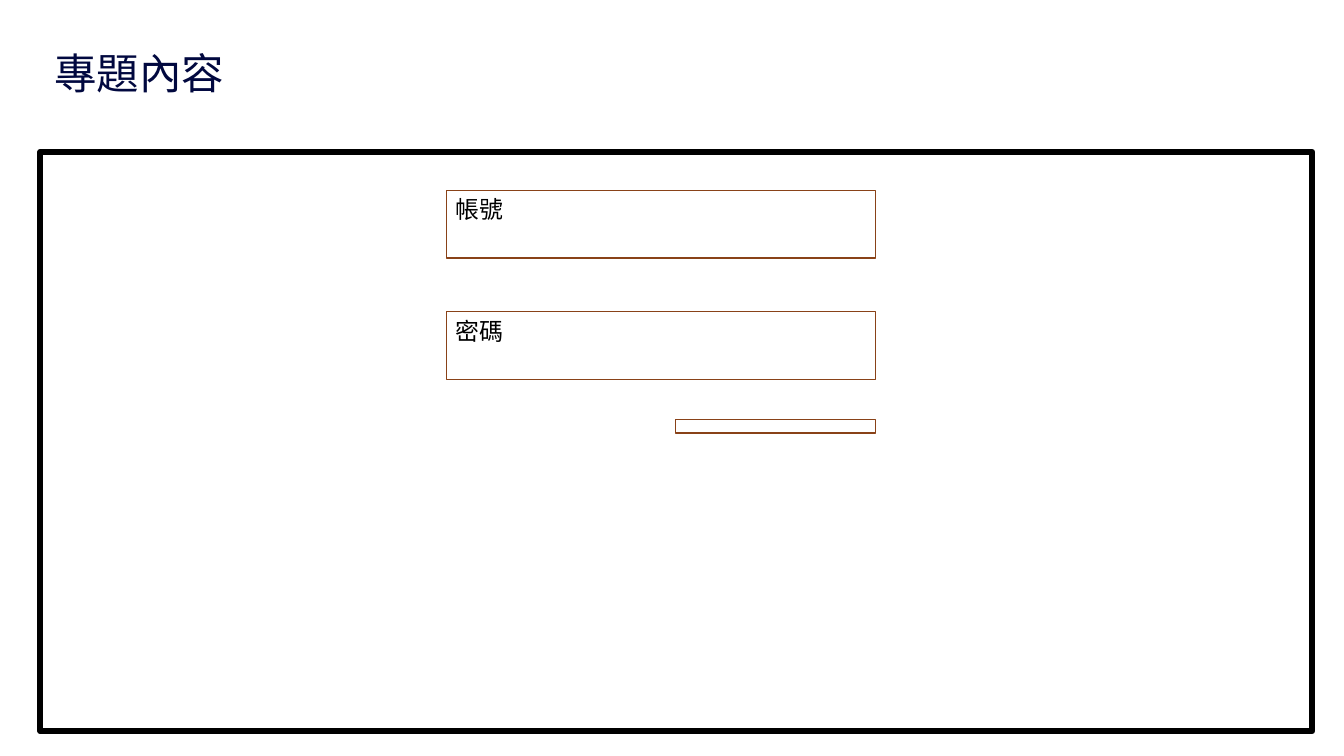
"""Build the project content slide with its login form wireframe."""
from pptx import Presentation
from pptx.dml.color import RGBColor
from pptx.enum.shapes import MSO_SHAPE
from pptx.enum.text import MSO_ANCHOR, MSO_AUTO_SIZE, PP_ALIGN
from pptx.util import Inches, Pt

RECTANGLE = MSO_SHAPE.RECTANGLE
TOP = MSO_ANCHOR.TOP
GROW = MSO_AUTO_SIZE.SHAPE_TO_FIT_TEXT
LEFT = PP_ALIGN.LEFT

FIELD_LEFT, FIELD_TOP = 4.67, 1.99
FIELD_WIDTH, FIELD_HEIGHT = 4.49, 0.71
FIELD_STEP = 1.27
LABEL_HEIGHT = 0.4
BUTTON_WIDTH, BUTTON_HEIGHT = 2.09, 0.14
BUTTON_LEFT = FIELD_LEFT + FIELD_WIDTH - BUTTON_WIDTH
BROWN = "894218"


def write_text(shape, text, font_name, size, color):
    """Fill a shape with one left-aligned line of text."""
    frame = shape.text_frame
    frame.text = text
    for name, value in {"word_wrap": True, "auto_size": GROW, "vertical_anchor": TOP}.items():
        setattr(frame, name, value)
    paragraph = frame.paragraphs[0]
    paragraph.alignment = LEFT
    font = paragraph.runs[0].font
    for name, value in {"name": font_name, "size": Pt(size)}.items():
        setattr(font, name, value)
    font.color.rgb = RGBColor.from_string(color)


presentation = Presentation()
presentation.slide_width = Inches(14.06)
presentation.slide_height = Inches(7.91)
slide = presentation.slides.add_slide(presentation.slide_layouts.get_by_name("Title Only"))

title = slide.shapes.title
title_place = {"left": 0.57, "top": 0.49, "width": 2.3, "height": 0.54}
for name, value in title_place.items():
    setattr(title, name, Inches(value))
for side in ("left", "top", "right", "bottom"):
    setattr(title.text_frame, f"margin_{side}", 0)
write_text(title, "專題內容", "Arial", 32, "01083F")

labels = ["帳號", "密碼"]
field_tops = [FIELD_TOP + row * FIELD_STEP for row in range(len(labels))]

outlines = [(0.42, 1.59, 13.31, 6.06, "000000", 4.5)]
for field_top in field_tops:
    outlines.append((FIELD_LEFT, field_top, FIELD_WIDTH, FIELD_HEIGHT, BROWN, 1))
outlines.append((BUTTON_LEFT, 4.39, BUTTON_WIDTH, BUTTON_HEIGHT, BROWN, 1))

for left, top, width, height, color, line_width in outlines:
    box = slide.shapes.add_shape(
        RECTANGLE, Inches(left), Inches(top), Inches(width), Inches(height)
    )
    box.shadow.inherit = False
    box.fill.background()
    box.line.color.rgb = RGBColor.from_string(color)
    box.line.width = Pt(line_width)

for label, field_top in zip(labels, field_tops):
    label_box = slide.shapes.add_textbox(
        Inches(FIELD_LEFT), Inches(field_top), Inches(FIELD_WIDTH), Inches(LABEL_HEIGHT)
    )
    write_text(label_box, label, "Calibri", 18, "000000")

presentation.save("out.pptx")
